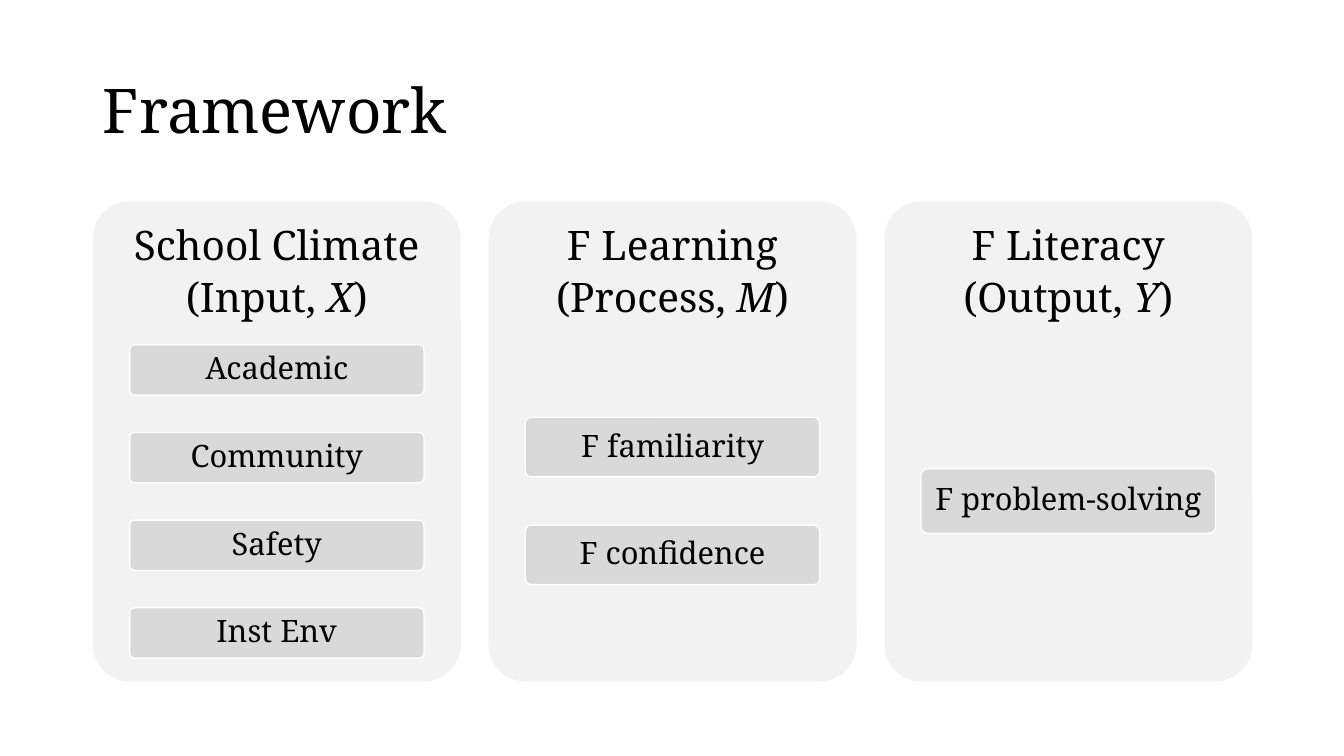
from dataclasses import dataclass

from pptx import Presentation
from pptx.dml.color import RGBColor
from pptx.enum.shapes import MSO_SHAPE
from pptx.enum.text import MSO_ANCHOR, MSO_AUTO_SIZE, PP_ALIGN
from pptx.util import Inches, Pt


@dataclass(frozen=True)
class Theme:
    font: str = "Noto Serif"
    text: RGBColor = RGBColor(0x00, 0x00, 0x00)
    panel: RGBColor = RGBColor(0xF2, 0xF2, 0xF2)
    box: RGBColor = RGBColor(0xD9, 0xD9, 0xD9)
    outline: RGBColor = RGBColor(0xFF, 0xFF, 0xFF)
    title_size: int = 44
    heading_size: int = 29
    box_size: int = 22


def apply_format(target, values):
    for name, value in values.items():
        setattr(target, name, value)


class FrameworkSlide:
    def __init__(self, presentation, theme):
        self.theme = theme
        self.slide = presentation.slides.add_slide(presentation.slide_layouts[5])

    def fill_text(self, frame, lines, size, alignment, space_after, margins=(0.1, 0.05)):
        """Fill a frame; each line is a list of (text, italic) runs."""
        horizontal, vertical = (Inches(margin) for margin in margins)
        apply_format(frame, {
            "word_wrap": True, "auto_size": MSO_AUTO_SIZE.NONE,
            "vertical_anchor": MSO_ANCHOR.MIDDLE,
            "margin_left": horizontal, "margin_right": horizontal,
            "margin_top": vertical, "margin_bottom": vertical,
        })
        for index, line in enumerate(lines):
            paragraph = frame.add_paragraph() if index else frame.paragraphs[0]
            apply_format(paragraph, {
                "alignment": alignment, "line_spacing": 0.9,
                "space_before": Pt(0), "space_after": Pt(space_after),
            })
            for text, italic in line:
                run = paragraph.add_run()
                run.text = text
                apply_format(run.font, {
                    "name": self.theme.font, "size": Pt(size), "italic": italic})
                run.font.color.rgb = self.theme.text

    def title(self, text, left, top, width, height):
        shape = self.slide.shapes.title
        apply_format(shape, {
            "left": Inches(left), "top": Inches(top),
            "width": Inches(width), "height": Inches(height),
        })
        self.fill_text(shape.text_frame, [[(text, False)]], self.theme.title_size,
                       PP_ALIGN.LEFT, 0)

    def rounded(self, left, top, width, height, color):
        shape = self.slide.shapes.add_shape(
            MSO_SHAPE.ROUNDED_RECTANGLE,
            Inches(left), Inches(top), Inches(width), Inches(height))
        shape.adjustments[0] = 0.1
        shape.shadow.inherit = False
        shape.fill.solid()
        shape.fill.fore_color.rgb = color
        return shape

    def panel(self, left, top, width, height):
        self.rounded(left, top, width, height, self.theme.panel).line.fill.background()

    def heading(self, lines, left, top, width, height):
        shape = self.slide.shapes.add_textbox(
            Inches(left), Inches(top), Inches(width), Inches(height))
        self.fill_text(shape.text_frame, lines, self.theme.heading_size,
                       PP_ALIGN.CENTER, 6, (0.12, 0.12))

    def box(self, text, left, top, width, height):
        shape = self.rounded(left, top, width, height, self.theme.box)
        shape.line.color.rgb = self.theme.outline
        shape.line.width = Pt(1)
        self.fill_text(shape.text_frame, [[(text, False)]], self.theme.box_size,
                       PP_ALIGN.CENTER, 4, (0.06, 0.05))


# Columns: name, role, symbol, top of first box, box height, box pitch, boxes
COLUMNS = [
    ("School Climate", "Input", "X", 3.42, 0.5, 0.87,
     ["Academic", "Community", "Safety", "Inst Env"]),
    ("F Learning", "Process", "M", 4.14, 0.59, 1.07,
     ["F familiarity", "F confidence"]),
    ("F Literacy", "Output", "Y", 4.65, 0.64, 0, ["F problem-solving"]),
]
LEFT, TOP, RIGHT = 0.92, 2, 12.42
PANEL_WIDTH, PANEL_HEIGHT = 3.65, 4.76
PANEL_PITCH = (RIGHT - LEFT - PANEL_WIDTH) / (len(COLUMNS) - 1)
HEADING_HEIGHT = 1.43
BOX_WIDTH = 0.8 * PANEL_WIDTH


def main():
    presentation = Presentation()
    apply_format(presentation, {
        "slide_width": Inches(13.33), "slide_height": Inches(7.5)})
    framework = FrameworkSlide(presentation, Theme())

    # Title
    framework.title("Framework", LEFT, 0.4, RIGHT - LEFT, 1.45)

    # One panel per stage, with its heading and boxes
    for column, (name, role, symbol, first, height, pitch, boxes) in enumerate(COLUMNS):
        left = LEFT + column * PANEL_PITCH
        framework.panel(left, TOP, PANEL_WIDTH, PANEL_HEIGHT)
        heading = [[(name, False)],
                   [(f"({role}, ", False), (symbol, True), (")", False)]]
        framework.heading(heading, left, TOP, PANEL_WIDTH, HEADING_HEIGHT)
        box_left = left + (PANEL_WIDTH - BOX_WIDTH) / 2
        for row, text in enumerate(boxes):
            framework.box(text, box_left, first + row * pitch, BOX_WIDTH, height)

    presentation.save("out.pptx")


if __name__ == "__main__":
    main()
